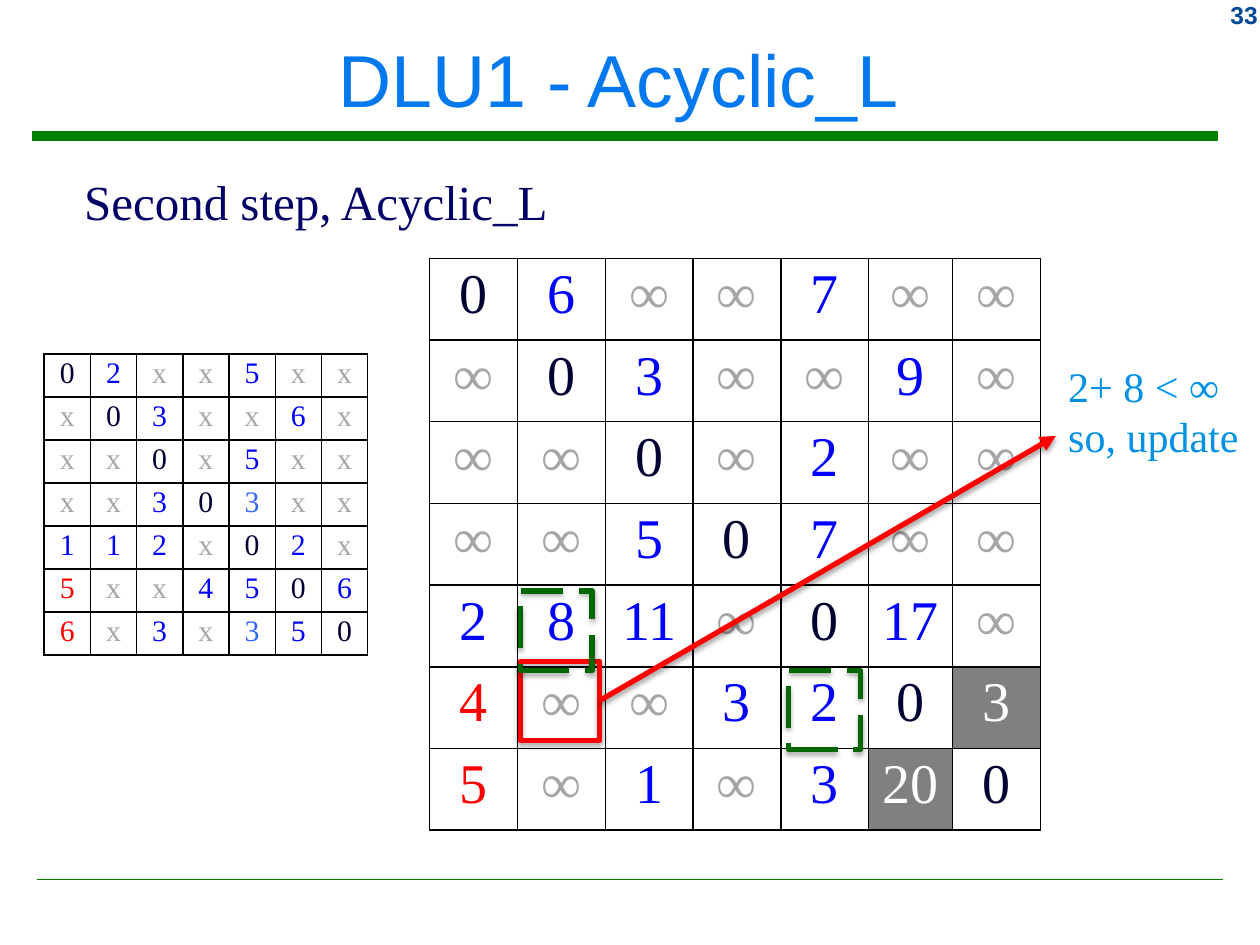
from dataclasses import dataclass, field
from typing import Optional

from lxml import etree
from pptx import Presentation
from pptx import util as u
from pptx.dml.color import RGBColor
from pptx.enum import dml, shapes, text
from pptx.oxml import parse_xml
from pptx.oxml.ns import nsdecls, qn

BLACK = RGBColor(0x00, 0x00, 0x00)
WHITE = RGBColor(0xFF, 0xFF, 0xFF)
RED = RGBColor(0xFF, 0x00, 0x00)
RULE_GREEN = RGBColor(0x00, 0x80, 0x00)
DASH_GREEN = RGBColor(0x00, 0x66, 0x00)
TITLE_BLUE = RGBColor(0x00, 0x78, 0xF0)
NUMBER_BLUE = RGBColor(0x00, 0x49, 0x92)
NAVY = RGBColor(0x00, 0x00, 0x66)
NOTE_BLUE = RGBColor(0x00, 0x90, 0xE5)
VALUE_BLUE = RGBColor(0x00, 0x00, 0xFF)
LIGHT_BLUE = RGBColor(0x33, 0x66, 0xFF)
DIAGONAL = RGBColor(0x00, 0x00, 0x33)
MISSING = RGBColor(0xA6, 0xA6, 0xA6)
FILLED_GRAY = RGBColor(0x80, 0x80, 0x80)

SANS, SERIF = "Arial", "Times New Roman"
ALIGN = text.PP_ALIGN


@dataclass
class Matrix:
    left: float
    top: float
    width: float
    height: float
    size: int
    inset_x: float
    inset_y: float
    rows: list[str]
    column_weights: list[float]
    text_colors: dict = field(default_factory=dict)
    fills: dict = field(default_factory=dict)


@dataclass
class Highlight:
    left: float
    top: float
    width: float
    color: RGBColor
    dash: Optional[dml.MSO_LINE] = None
    height: float = 0.63


FILL_INS = {(5, 6): FILLED_GRAY, (6, 5): FILLED_GRAY}
DISTANCES = Matrix(
    3.41, 2.05, 4.85, 4.54, 32, 0.09, 0.04,
    ["0 6 ∞ ∞ 7 ∞ ∞", "∞ 0 3 ∞ ∞ 9 ∞", "∞ ∞ 0 ∞ 2 ∞ ∞", "∞ ∞ 5 0 7 ∞ ∞",
     "2 8 11 ∞ 0 17 ∞", "4 ∞ ∞ 3 2 0 3", "5 ∞ 1 ∞ 3 20 0"],
    [0.7] * 5 + [0.67, 0.7],
    text_colors={(5, 0): RED, (6, 0): RED, **dict.fromkeys(FILL_INS, WHITE)},
    fills=FILL_INS)
SOURCES = Matrix(
    0.35, 2.81, 2.57, 2.39, 17, 0.05, 0.02,
    ["0 2 x x 5 x x", "x 0 3 x x 6 x", "x x 0 x 5 x x", "x x 3 0 3 x x",
     "1 1 2 x 0 2 x", "5 x x 4 5 0 6", "6 x 3 x 3 5 0"],
    [1] * 7,
    text_colors={(5, 0): RED, (6, 0): RED, (3, 4): LIGHT_BLUE, (6, 4): LIGHT_BLUE})

HIGHLIGHTS = [
    Highlight(4.13, 5.25, 0.63, RED),
    Highlight(4.13, 4.69, 0.57, DASH_GREEN, dml.MSO_LINE.LONG_DASH),
    Highlight(6.26, 5.32, 0.57, DASH_GREEN, dml.MSO_LINE.LONG_DASH),
]


def write(frame, content: str, *, font: str, size: float, color: RGBColor,
          bold: bool = False, align=ALIGN.LEFT) -> None:
    """Fill a text frame, one paragraph per line of content."""
    for index, line in enumerate(content.split("\n")):
        para = frame.paragraphs[0] if index == 0 else frame.add_paragraph()
        para.alignment = align
        span = para.add_run()
        span.text = line
        span.font.name, span.font.size = font, u.Pt(size)
        span.font.bold, span.font.color.rgb = bold, color


def add_text(page, left: float, top: float, width: float, height: float,
             content: str, *, wrap: bool = False, **style) -> None:
    box = page.shapes.add_textbox(*map(u.Inches, (left, top, width, height)))
    box.text_frame.word_wrap = wrap
    write(box.text_frame, content, **style)


def add_effects(shape, alpha: int = 0, blur: float = 3.1, distance: float = 1.8) -> None:
    """Give a shape its own effect list, with a downward shadow if alpha is set."""
    effects = etree.SubElement(shape._element.spPr, qn("a:effectLst"))
    if alpha:
        effects.append(parse_xml(
            f'<a:outerShdw {nsdecls("a")} blurRad="{u.Pt(blur)}" dist="{u.Pt(distance)}" '
            f'dir="5400000" rotWithShape="0"><a:srgbClr val="{BLACK}">'
            f'<a:alpha val="{alpha * 1000}"/></a:srgbClr></a:outerShdw>'))


def add_line(page, start: tuple, end: tuple, color: RGBColor, weight: float,
             *, arrow: bool = False) -> None:
    line = page.shapes.add_connector(
        shapes.MSO_CONNECTOR.STRAIGHT, *map(u.Inches, start + end))
    line.line.color.rgb, line.line.width = color, u.Pt(weight)
    if arrow:
        etree.SubElement(line.line._get_or_add_ln(), qn("a:tailEnd"), type="triangle")
        add_effects(line, alpha=38, distance=1.6)
    else:
        add_effects(line)


def add_highlight(page, mark: Highlight) -> None:
    frame = page.shapes.add_shape(
        shapes.MSO_SHAPE.RECTANGLE,
        *map(u.Inches, (mark.left, mark.top, mark.width, mark.height)))
    frame.fill.background()
    frame.line.color.rgb, frame.line.width = mark.color, u.Pt(3)
    if mark.dash is not None:
        frame.line.dash_style = mark.dash
    add_effects(frame, alpha=35)


def add_borders(cell) -> None:
    properties = cell._tc.get_or_add_tcPr()
    for side in ("lnL", "lnR", "lnT", "lnB"):
        properties.append(parse_xml(
            f'<a:{side} {nsdecls("a")} w="{u.Pt(1)}"><a:solidFill>'
            f'<a:srgbClr val="{BLACK}"/></a:solidFill></a:{side}>'))


def value_color(value: str) -> RGBColor:
    return {"0": DIAGONAL, "x": MISSING, "∞": MISSING}.get(value, VALUE_BLUE)


def add_matrix(page, matrix: Matrix) -> None:
    place = map(u.Inches, (matrix.left, matrix.top, matrix.width, matrix.height))
    table = page.shapes.add_table(
        len(matrix.rows), len(matrix.column_weights), *place).table
    table.first_row = table.horz_banding = False
    unit = u.Inches(matrix.width) / sum(matrix.column_weights)
    for column, weight in zip(table.columns, matrix.column_weights):
        column.width = u.Emu(round(unit * weight))
    for row_index, row in enumerate(matrix.rows):
        table.rows[row_index].height = u.Emu(u.Inches(matrix.height) // len(matrix.rows))
        for column_index, value in enumerate(row.split()):
            key = (row_index, column_index)
            cell = table.cell(*key)
            add_borders(cell)
            cell.fill.solid()
            cell.fill.fore_color.rgb = matrix.fills.get(key, WHITE)
            cell.margin_left = cell.margin_right = u.Inches(matrix.inset_x)
            cell.margin_top = cell.margin_bottom = u.Inches(matrix.inset_y)
            write(cell.text_frame, value, font=SERIF, size=matrix.size, align=ALIGN.CENTER,
                  color=matrix.text_colors.get(key, value_color(value)))


def main() -> None:
    deck = Presentation()
    deck.slide_width, deck.slide_height = u.Inches(10), u.Inches(7.5)
    page = deck.slides.add_slide(deck.slide_layouts[5])

    # Rules and page number
    add_line(page, (0.25, 1.08), (9.67, 1.08), RULE_GREEN, 5.25)
    add_line(page, (0.29, 6.98), (9.71, 6.98), RULE_GREEN, 1)
    add_text(page, 9.17, -0.05, 0.91, 0.33, "33", wrap=True, font=SANS, size=14,
             color=NUMBER_BLUE, bold=True, align=ALIGN.RIGHT)

    # Title and subtitle
    title = page.shapes.title
    title.left, title.top, title.width, title.height = map(
        u.Inches, (0.08, 0.09, 9.8, 1.06))
    title.text_frame.vertical_anchor = text.MSO_ANCHOR.MIDDLE
    write(title.text_frame, "DLU1 - Acyclic_L ", font=SANS, size=42,
          color=TITLE_BLUE, align=ALIGN.CENTER)
    add_text(page, 0.57, 1.31, 3.91, 0.57, "Second step, Acyclic_L",
             font=SERIF, size=28, color=NAVY)

    # Matrices
    add_matrix(page, DISTANCES)
    add_matrix(page, SOURCES)

    # Updated cell, its operands and the explanation
    for mark in HIGHLIGHTS:
        add_highlight(page, mark)
    add_line(page, (4.76, 5.56), (8.38, 3.46), RED, 3, arrow=True)
    add_text(page, 8.38, 2.81, 1.57, 1.31, "2+ 8 < ∞\nso, update",
             font=SERIF, size=24, color=NOTE_BLUE)

    deck.save("out.pptx")


if __name__ == "__main__":
    main()
